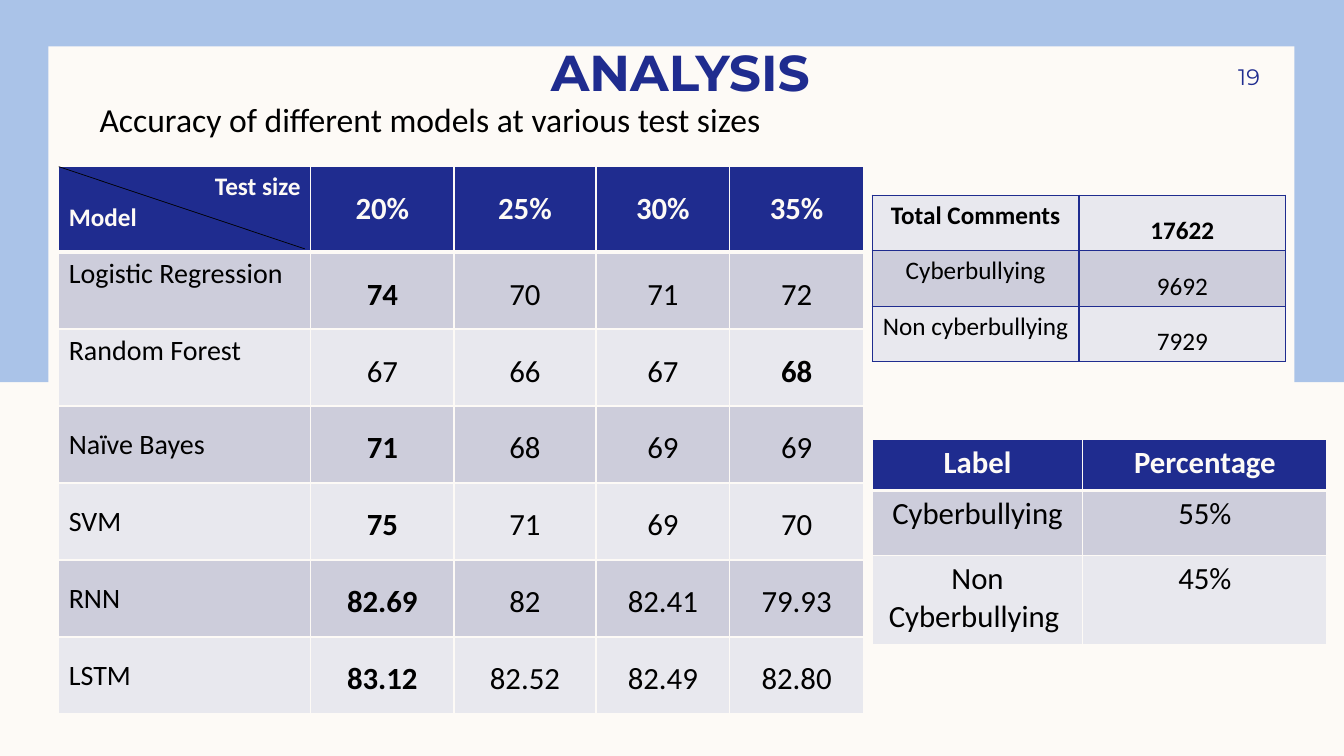
from pptx import Presentation
from pptx.dml.color import RGBColor
from pptx.enum.shapes import MSO_CONNECTOR, MSO_SHAPE
from pptx.enum.text import MSO_ANCHOR, MSO_AUTO_SIZE, PP_ALIGN
from pptx.oxml.ns import qn
from pptx.util import Cm, Pt
from lxml.etree import SubElement

COLORS = {"navy": "1F2C8F", "sky": "AAC3E8", "cream": "FDFAF6",
          "black": "000000", "dark_band": "CDCDDB", "light_band": "E8E8EE"}
LEFT, CENTER, RIGHT = PP_ALIGN.LEFT, PP_ALIGN.CENTER, PP_ALIGN.RIGHT


def rgb(name):
    return RGBColor.from_string(COLORS[name])


class SlideBuilder:
    heading_font = "Montserrat"
    body_font = "Calibri"

    def __init__(self, prs):
        self.s = prs.slides.add_slide(prs.slide_layouts[5])
        self.s.background.fill.solid()
        self.s.background.fill.fore_color.rgb = rgb("cream")

    def add_text(self, p, text, size, color="black", bold=False, align=LEFT,
                 spacing=None, font=None):
        p.alignment = align
        if spacing:
            p.line_spacing = spacing
        r = p.add_run()
        r.text = text
        r.font.name = font or self.body_font
        r.font.size = Pt(size)
        r.font.bold = bold
        r.font.color.rgb = rgb(color)

    def panel(self, left, top, width, height, color):
        sp = self.s.shapes.add_shape(MSO_SHAPE.RECTANGLE, Cm(left), Cm(top),
                                     Cm(width), Cm(height))
        sp.shadow.inherit = False
        sp.fill.solid()
        sp.fill.fore_color.rgb = rgb(color)
        sp.line.fill.background()

    def title(self, text, left, top, width, height):
        sp = self.s.shapes.title
        sp.left, sp.top, sp.width, sp.height = map(Cm, (left, top, width, height))
        tf = sp.text_frame
        tf.auto_size = MSO_AUTO_SIZE.NONE
        tf.vertical_anchor = MSO_ANCHOR.BOTTOM
        tf.margin_top = tf.margin_bottom = 0
        self.add_text(tf.paragraphs[0], text, 36, "navy", True, CENTER,
                      spacing=0.9, font=self.heading_font)
        self.s.shapes._spTree.append(sp._element)  # in front of the panels

    def text(self, text, left, top, width, height, size,
             anchor=MSO_ANCHOR.TOP, margin_right=0.25, **style):
        sp = self.s.shapes.add_textbox(Cm(left), Cm(top), Cm(width), Cm(height))
        tf = sp.text_frame
        tf.word_wrap = True
        tf.vertical_anchor = anchor
        tf.margin_right = Cm(margin_right)
        self.add_text(tf.paragraphs[0], text, size, **style)

    def line(self, x1, y1, x2, y2, color, width):
        ln = self.s.shapes.add_connector(MSO_CONNECTOR.STRAIGHT,
                                         Cm(x1), Cm(y1), Cm(x2), Cm(y2))
        ln.line.color.rgb = rgb(color)
        ln.line.width = Pt(width)
        SubElement(ln._element.spPr, qn("a:effectLst"))

    def table(self, left, top, widths, heights):
        tbl = self.s.shapes.add_table(len(heights), len(widths), Cm(left), Cm(top),
                                      Cm(sum(widths)), Cm(sum(heights))).table
        for column, width in zip(tbl.columns, widths):
            column.width = Cm(width)
        for row, height in zip(tbl.rows, heights):
            row.height = Cm(height)
        return tbl

    def cell(self, cell, text, size, fill, border, top=1, bottom=1, **style):
        tcPr = cell._tc.get_or_add_tcPr()
        for side, width in zip("LRTB", (1, 1, top, bottom)):
            ln = SubElement(tcPr, qn(f"a:ln{side}"), w=str(Pt(width)))
            solid = SubElement(ln, qn("a:solidFill"))
            SubElement(solid, qn("a:srgbClr"), val=COLORS[border])
        cell.fill.solid()
        cell.fill.fore_color.rgb = rgb(fill)
        self.add_text(cell.text_frame.paragraphs[0], text, size, **style)

    def header_cell(self, cell, text, size, **style):
        self.cell(cell, text, size, "navy", "cream", bottom=3,
                  color="cream", bold=True, **style)

    def body_cell(self, cell, row, text, size, **style):
        fill = "dark_band" if row % 2 else "light_band"
        self.cell(cell, text, size, fill, "cream", top=3 if row == 1 else 1, **style)


TEST_SIZES = ["20%", "25%", "30%", "35%"]
ACCURACY = [
    ("Logistic Regression", ["74", "70", "71", "72"]),
    ("Random Forest", ["67", "66", "67", "68"]),
    ("Naïve Bayes", ["71", "68", "69", "69"]),
    ("SVM", ["75", "71", "69", "70"]),
    ("RNN", ["82.69", "82", "82.41", "79.93"]),
    ("LSTM", ["83.12", "82.52", "82.49", "82.80"]),
]
SHARES = [("Cyberbullying", "55%"), ("Non Cyberbullying ", "45%")]
COUNTS = [("Total Comments", "17622"), ("Cyberbullying", "9692"),
          ("Non cyberbullying", "7929")]


def main():
    prs = Presentation()
    prs.slide_width, prs.slide_height = Cm(33.87), Cm(19.05)
    b = SlideBuilder(prs)

    # Backdrop and headings
    b.panel(0, 0, 33.87, 9.63, "sky")
    b.panel(1.22, 1.17, 31.4, 16.74, "cream")
    b.title("ANALYSIS", 2.54, 0, 29.21, 2.59)
    b.text("19", 28.78, 1.27, 2.97, 1.32, 16, MSO_ANCHOR.MIDDLE, 0,
           color="navy", align=RIGHT, font=b.heading_font)
    b.text("Accuracy of different models at various test sizes",
           2.26, 2.36, 30.2, 1.27, 24)

    # Accuracy table, best result of each model in bold
    tbl = b.table(1.48, 4.2, [6.35, 3.61, 3.58, 3.37, 3.37], [2.15] + [1.94] * 6)
    corner = tbl.cell(0, 0)
    b.header_cell(corner, "Test size", 18, align=RIGHT)
    b.add_text(corner.text_frame.add_paragraph(), "Model", 18, "cream", True)
    for col, test_size in enumerate(TEST_SIZES, 1):
        b.header_cell(tbl.cell(0, col), test_size, 22, align=CENTER, spacing=1.5)
    for row, (model, values) in enumerate(ACCURACY, 1):
        b.body_cell(tbl.cell(row, 0), row, model, 20,
                    spacing=1.5 if row > 2 else None)
        best = max(values, key=float)
        for col, value in enumerate(values, 1):
            b.body_cell(tbl.cell(row, col), row, value, 22, bold=value == best,
                        align=CENTER, spacing=1.5)
    b.line(1.48, 4.2, 7.68, 6.27, "black", 0.5)

    # Label share table
    tbl = b.table(21.98, 11.08, [5.31, 6.15], [1.28, 1.64, 2.25])
    for col, label in enumerate(["Label", "Percentage"]):
        b.header_cell(tbl.cell(0, col), label, 22, align=CENTER)
    for row, texts in enumerate(SHARES, 1):
        for col, text in enumerate(texts):
            b.body_cell(tbl.cell(row, col), row, text, 22, align=CENTER)

    # Comment count table
    tbl = b.table(21.98, 4.92, [5.21, 5.21], [1.4] * 3)
    for row, texts in enumerate(COUNTS):
        for col, text in enumerate(texts):
            b.cell(tbl.cell(row, col), text, 18,
                   "dark_band" if row % 2 else "light_band", "navy",
                   bold=row == 0, align=CENTER, spacing=1.5 if col else None)

    prs.save("out.pptx")


if __name__ == "__main__":
    main()
